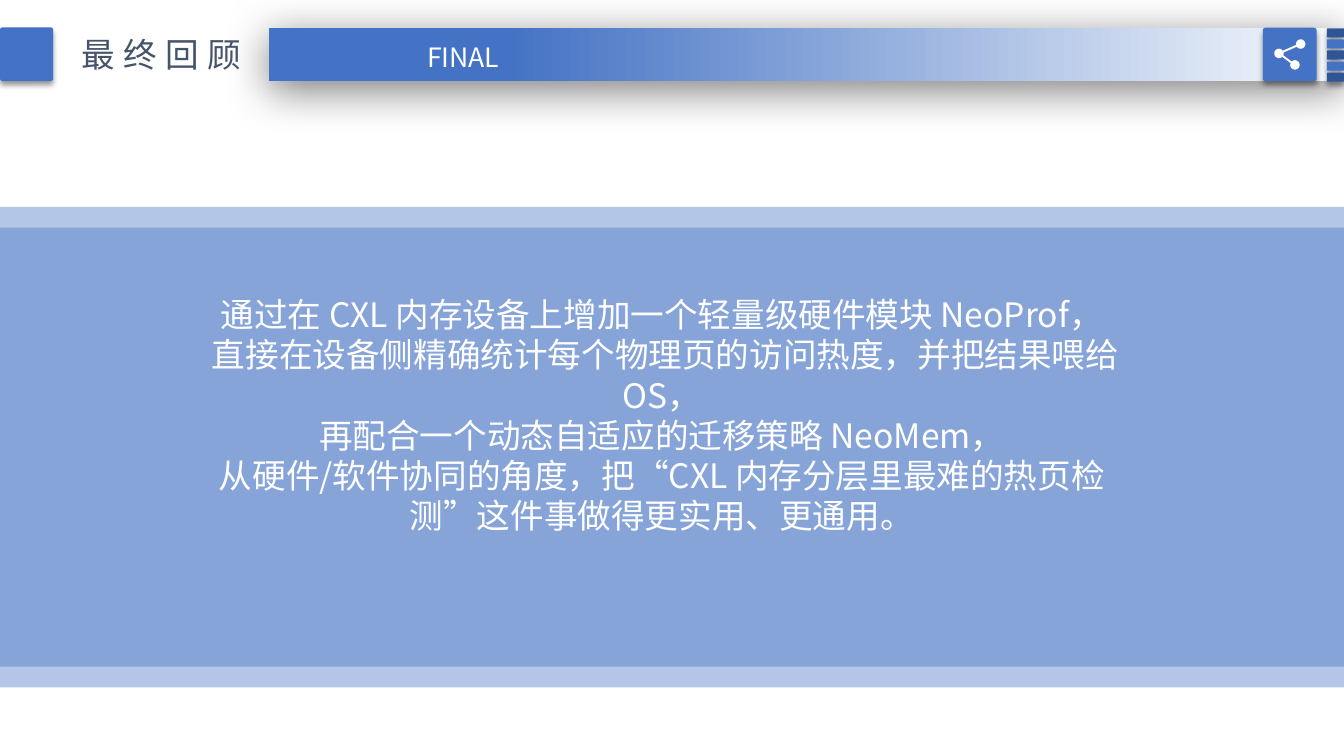
from dataclasses import dataclass
from math import cos, radians, sin

from lxml import etree
from pptx import Presentation
from pptx.dml.color import RGBColor
from pptx.enum.shapes import MSO_SHAPE
from pptx.enum.text import MSO_AUTO_SIZE, PP_ALIGN
from pptx.oxml.ns import qn
from pptx.util import Pt

RECTANGLE = MSO_SHAPE.RECTANGLE
ROUNDED = MSO_SHAPE.ROUNDED_RECTANGLE
LEFT = PP_ALIGN.LEFT
CENTER = PP_ALIGN.CENTER
NO_AUTOSIZE = MSO_AUTO_SIZE.NONE


@dataclass(frozen=True)
class Theme:
    font: str = "Noto Sans CJK SC"
    blue: str = "4472C4"
    navy: str = "2F5597"
    pale: str = "F7FAFD"
    slate: str = "44546A"
    white: str = "FFFFFF"
    black: str = "000000"
    body_size: float = 24
    label_size: float = 19


@dataclass(frozen=True)
class Area:
    left: float
    top: float
    width: float
    height: float


@dataclass(frozen=True)
class Shadow:
    opacity: int
    blur: float
    distance: float
    direction: int


@dataclass(frozen=True)
class Label:
    area: Area
    lines: tuple[str, ...]
    size: float
    color: str
    align: PP_ALIGN = CENTER
    wrap: bool = False
    tracking: float = 0
    line_pitch: float = 0


@dataclass(frozen=True)
class Arc:
    x: float
    y: float
    start: int
    end: int


THEME = Theme()
TILE_SHADOW = Shadow(40, 4, 3, 90)
BANNER_SHADOW = Shadow(50, 31, 6, 97)
BANDS = (Area(0, 162.6, 960, 328.4), Area(0, 147.8, 960, 328.4))
BANNER = Area(192, 19.8, 768, 38.4)
TITLE_TILE = Area(0, 19.5, 38, 38.5)
SHARE_TILE = Area(902, 19.8, 38.5, 38.2)
STRIPE = Area(947.8, 20.2, 12.2, 6.5)
STRIPE_PITCH = 7.92
STRIPE_COLORS = (THEME.navy, THEME.blue, THEME.navy, THEME.blue, THEME.navy)
NODE_RADIUS = 3.35
SHARE_ARCS = (
    Arc(929.1, 31.5, 169, 505),
    Arc(913.6, 38.2, 349, 384),
    Arc(925, 46.4, 227, 563),
    Arc(913.6, 38.2, 47, 325),
)
LABELS = (
    Label(Area(51, 20.9, 134.6, 36), ("最终回顾",), THEME.body_size,
          THEME.slate, align=LEFT, tracking=6),
    Label(Area(296.6, 25.9, 68.4, 30.2), ("FINAL",), THEME.label_size, THEME.white),
    Label(
        Area(124.6, 206.7, 696.2, 260.6),
        (
            "通过在 CXL 内存设备上增加一个轻量级硬件模块 NeoProf，",
            " 直接在设备侧精确统计每个物理页的访问热度，并把结果喂给 OS，",
            " 再配合一个动态自适应的迁移策略 NeoMem， ",
            "从硬件/软件协同的角度，把“CXL 内存分层里最难的热页检测”这件事做得更实用、更通用。",
        ),
        THEME.body_size, THEME.white, wrap=True, line_pitch=28.7,
    ),
)


def rgb(color: str) -> RGBColor:
    return RGBColor.from_string(color)


def add_alpha(color_element, opacity: int) -> None:
    etree.SubElement(color_element, qn("a:alpha"), val=str(opacity * 1000))


def add_shadow(shape, shadow: Shadow) -> None:
    effects = shape._element.spPr.find(qn("a:effectLst"))
    outer = etree.SubElement(
        effects, qn("a:outerShdw"), blurRad=str(Pt(shadow.blur)),
        dist=str(Pt(shadow.distance)), dir=str(shadow.direction * 60000),
        algn="ctr", rotWithShape="0",
    )
    add_alpha(etree.SubElement(outer, qn("a:srgbClr"), val=THEME.black), shadow.opacity)


def add_block(shapes, kind, area: Area, color: str, corner: float = 0):
    block = shapes.add_shape(
        kind, Pt(area.left), Pt(area.top), Pt(area.width), Pt(area.height)
    )
    block.shadow.inherit = False
    block.fill.solid()
    block.fill.fore_color.rgb = rgb(color)
    block.line.fill.background()
    if kind == ROUNDED:
        block.adjustments[0] = corner
    return block


def add_tile(shapes, area: Area, color: str) -> None:
    add_shadow(add_block(shapes, ROUNDED, area, color, 0.05), TILE_SHADOW)


def add_band(shapes, area: Area) -> None:
    band = add_block(shapes, ROUNDED, area, THEME.blue)
    add_alpha(band._element.spPr.find(qn("a:solidFill"))[0], 40)


def add_banner(shapes) -> None:
    banner = add_block(shapes, RECTANGLE, BANNER, THEME.blue)
    banner.fill.gradient()
    banner.fill.gradient_angle = 180
    stops = ((0, THEME.pale), (0.78, THEME.blue))
    for stop, (position, color) in zip(banner.fill.gradient_stops, stops):
        stop.position = position
        stop.color.rgb = rgb(color)
    add_shadow(banner, BANNER_SHADOW)


def add_label(shapes, label: Label) -> None:
    area = label.area
    box = shapes.add_textbox(
        Pt(area.left), Pt(area.top), Pt(area.width), Pt(area.height)
    )
    frame = box.text_frame
    frame.word_wrap = label.wrap
    frame.auto_size = NO_AUTOSIZE
    for index, line in enumerate(label.lines):
        para = frame.add_paragraph() if index else frame.paragraphs[0]
        para.alignment = label.align
        if label.line_pitch:
            para.line_spacing = Pt(label.line_pitch)
        span = para.add_run()
        span.text = line
        span.font.size = Pt(label.size)
        span.font.name = THEME.font
        span.font.color.rgb = rgb(label.color)
        properties = span.font._element
        etree.SubElement(properties, qn("a:ea"), typeface=THEME.font)
        if label.tracking:
            properties.set("spc", str(round(label.tracking * 100)))


def arc_points(arc: Arc, steps: int = 24) -> list[tuple[int, int]]:
    angles = [
        radians(arc.start + (arc.end - arc.start) * step / steps)
        for step in range(steps + 1)
    ]
    return [
        (Pt(arc.x + NODE_RADIUS * cos(angle)), Pt(arc.y + NODE_RADIUS * sin(angle)))
        for angle in angles
    ]


def add_share_icon(shapes) -> None:
    points = [point for arc in SHARE_ARCS for point in arc_points(arc)]
    builder = shapes.build_freeform(*points[0])
    builder.add_line_segments(points[1:], close=True)
    icon = builder.convert_to_shape()
    icon.shadow.inherit = False
    icon.fill.solid()
    icon.fill.fore_color.rgb = rgb(THEME.white)
    icon.line.fill.background()


def main() -> None:
    deck = Presentation()
    deck.slide_width, deck.slide_height = Pt(960), Pt(540)
    page = deck.slides.add_slide(deck.slide_layouts[6])
    for area in BANDS:
        add_band(page.shapes, area)
    add_banner(page.shapes)
    add_tile(page.shapes, TITLE_TILE, THEME.blue)
    for label in LABELS:
        add_label(page.shapes, label)
    stripes = page.shapes.add_group_shape().shapes
    for index, color in enumerate(STRIPE_COLORS):
        top = STRIPE.top + index * STRIPE_PITCH
        add_tile(stripes, Area(STRIPE.left, top, STRIPE.width, STRIPE.height), color)
    share = page.shapes.add_group_shape().shapes
    add_tile(share, SHARE_TILE, THEME.blue)
    add_share_icon(share)
    deck.save("out.pptx")


if __name__ == "__main__":
    main()
